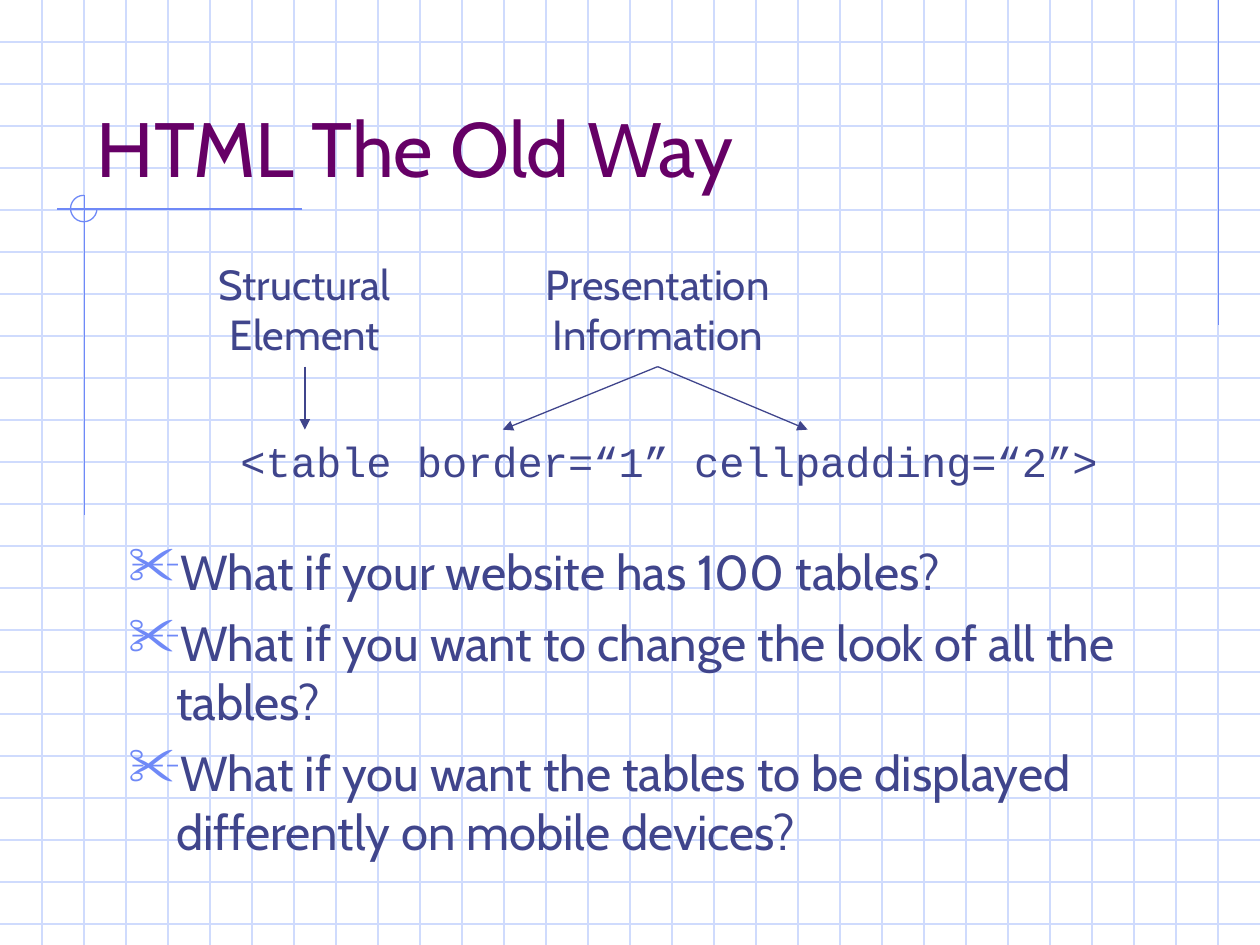
from lxml import etree
from pptx import Presentation
from pptx.dml.color import RGBColor
from pptx.enum import shapes, text
from pptx.oxml.ns import qn
from pptx.util import Inches, Pt

GRID = RGBColor(0xCF, 0xDB, 0xFD)
BLUE = RGBColor(0x6F, 0x89, 0xF7)
INK = RGBColor(0x40, 0x45, 0x8C)
PLUM = RGBColor(0x66, 0x00, 0x66)

deck = Presentation()
deck.slide_width, deck.slide_height = Inches(10), Inches(7.5)
slide = deck.slides.add_slide(deck.slide_layouts[6])


def add_line(x1, y1, x2, y2, color, arrow=False):
    line = slide.shapes.add_connector(
        shapes.MSO_CONNECTOR.STRAIGHT, Inches(x1), Inches(y1), Inches(x2), Inches(y2))
    line.line.color.rgb = color
    line.line.width = Pt(0.75)
    if arrow:
        etree.SubElement(line.line._get_or_add_ln(), qn("a:tailEnd"), type="triangle")
    etree.SubElement(line._element.spPr, qn("a:effectLst"))


def add_text(words, x, y, w, h, size=24, color=INK, font="Cabin", wrap=False,
             align=text.PP_ALIGN.LEFT, anchor=text.MSO_ANCHOR.TOP, bullet=None):
    """Put each line of words in its own paragraph, with a hanging bullet if given."""
    frame = slide.shapes.add_textbox(Inches(x), Inches(y), Inches(w), Inches(h)).text_frame
    frame.word_wrap = wrap
    frame.vertical_anchor = anchor
    frame.text = words
    for para in frame.paragraphs:
        para.alignment = align
        para.font.size = Pt(size)
        para.font.name = font
        para.font.color.rgb = color
        for run in para.runs:
            run.font.size = Pt(size)
            run.font.name = font
            run.font.color.rgb = color
        if bullet:
            para.space_before = Pt(7)
            props = para._p.get_or_add_pPr()
            props.set("marL", str(Inches(0.38)))
            props.set("indent", str(Inches(-0.38)))
            marks = [etree.Element(qn("a:buClr")),
                     etree.Element(qn("a:buSzPct"), val="110000"),
                     etree.Element(qn("a:buChar"), char=bullet)]
            etree.SubElement(marks[0], qn("a:srgbClr"), val=str(BLUE))
            spot = props.index(props.find(qn("a:spcBef"))) + 1
            props[spot:spot] = marks


# Graph paper, three squares to the inch
for row in range(1, 23):
    add_line(0, row / 3, 10, row / 3, GRID)
for col in range(1, 30):
    add_line(col / 3, 0, col / 3, 7.5, GRID)

# Margin lines and the ring where they cross
add_line(9.67, 0, 9.67, 2.58, BLUE)
add_line(2.4, 1.66, 0.45, 1.66, BLUE)
add_line(0.67, 1.55, 0.67, 4.09, BLUE)
ring = slide.shapes.add_shape(
    shapes.MSO_SHAPE.ARC, Inches(0.56), Inches(1.55), Inches(0.21), Inches(0.21))
ring.adjustments[0] = 0
ring.adjustments[1] = 162  # 270 degrees
ring.shadow.inherit = False
ring.fill.background()
ring.line.color.rgb = BLUE
ring.line.width = Pt(0.75)

add_text("HTML The Old Way", 0.67, 0.33, 8.5, 1.25, size=44, color=PLUM,
         wrap=True, anchor=text.MSO_ANCHOR.BOTTOM)
add_text("What if your website has 100 tables?\n"
         "What if you want to change the look of all the tables?\n"
         "What if you want the tables to be displayed differently on mobile devices?",
         0.92, 4.25, 8.5, 2.67, size=28, wrap=True, bullet="✂")
add_text("<table border=“1” cellpadding=“2”>", 1.81, 3.41, 7, 0.5, font="Courier New")
add_text("Structural\nElement", 1.55, 2, 1.74, 0.9, align=text.PP_ALIGN.CENTER)
add_text("Presentation\nInformation", 4.12, 2, 2.2, 0.9, align=text.PP_ALIGN.CENTER)

# Arrows from the labels down to the code
for start, end in [(2.42, 2.42), (5.22, 3.99), (5.22, 6.41)]:
    add_line(start, 2.91, end, 3.41, INK, arrow=True)

deck.save("out.pptx")
